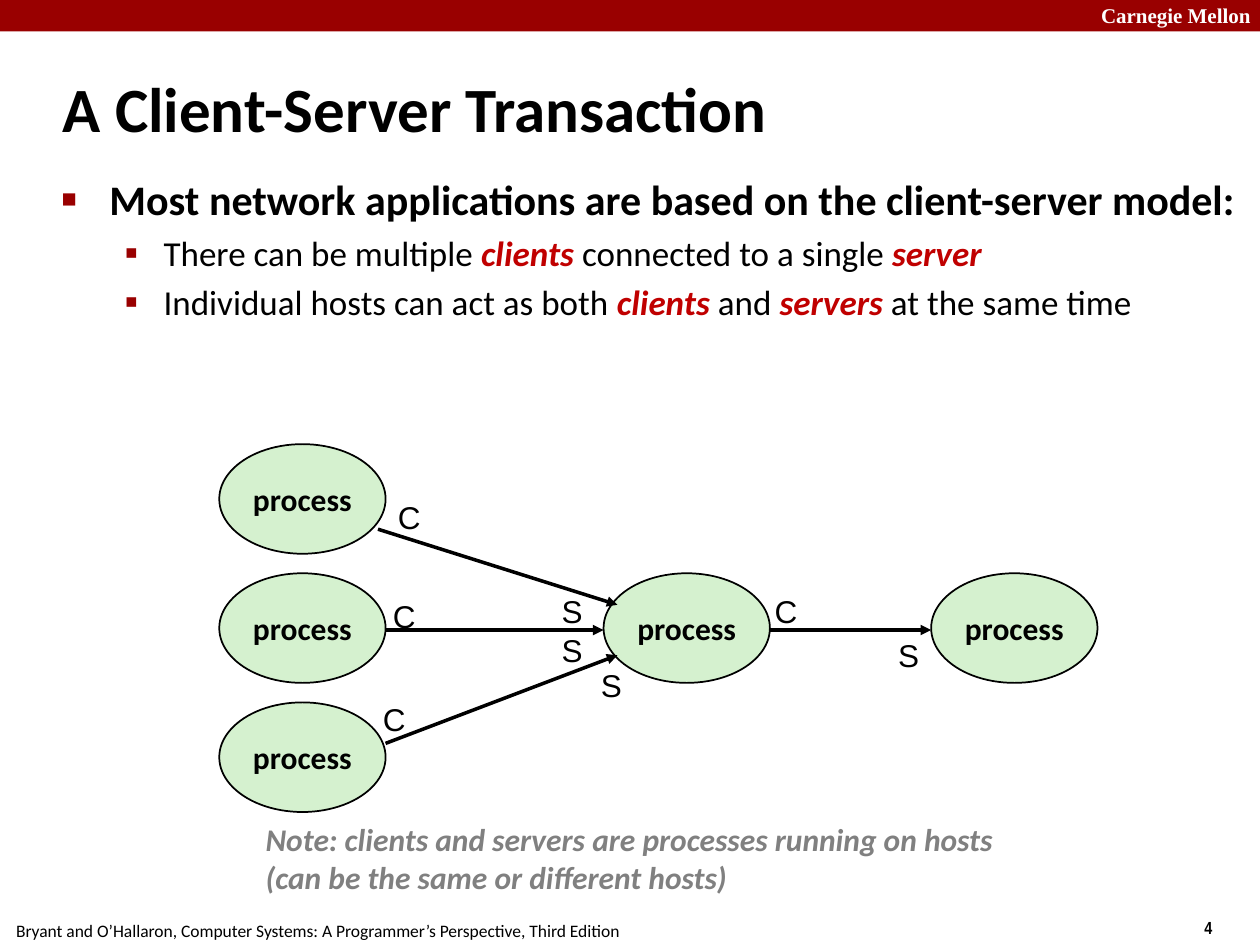
from pptx import Presentation
from pptx.dml.color import RGBColor
from pptx.enum.shapes import MSO_CONNECTOR as Connector, MSO_SHAPE as Shape
from pptx.enum.text import MSO_ANCHOR as Anchor, PP_ALIGN as Align
from pptx.oxml.ns import qn
from pptx.util import Inches, Pt
from lxml.etree import SubElement

THEME = {
    "colors": {"bar": "990000", "accent": "C00000", "ink": "000000", "paper": "FFFFFF",
               "muted": "808080", "node": "D5F1CF"},
    "styles": {
        "brand": {"name": "Times New Roman", "size": 12, "bold": True, "color": "paper"},
        "number": {"name": "Arial Narrow", "size": 10, "bold": True, "color": "ink"},
        "footer": {"name": "Calibri", "size": 10, "color": "ink"},
        "title": {"name": "Calibri", "size": 36, "bold": True, "color": "ink"},
        "heading": {"name": "Calibri", "size": 24, "bold": True, "color": "ink"},
        "detail": {"name": "Calibri", "size": 20, "bold": False, "color": "ink"},
        "term": {"name": "Calibri", "size": 20, "bold": True, "italic": True, "color": "accent"},
        "node": {"name": "Calibri", "size": 18, "bold": True, "color": "ink"},
        "note": {"name": "Calibri", "size": 18, "bold": True, "italic": True, "color": "muted"},
        "role": {"name": "Arial", "size": 18, "color": "ink"},
    },
}

TEXTS = [
    ("brand", (8.64, -0.03, 1.43, 0.3), ["Carnegie Mellon"]),
    ("number", (9.46, 7.23, 0.75, 0.27), ["4"]),
    ("footer", (0.03, 7.25, 5.1, 0.27),
     ["Bryant and O’Hallaron, Computer Systems: A Programmer’s Perspective, Third Edition"]),
    ("title", (0.4, 0.54, 7.83, 0.63), ["A Client-Server Transaction"]),
    ("note", (2.01, 6.46, 6.03, 0.7),
     ["Note: clients and servers are processes running on hosts",
      "(can be the same or different hosts)"]),
]

BODY_BOX = (0.39, 1.33, 9.52, 2.25)
BODY = [
    ("main", [("heading", "Most network applications are based on the client-server model:")]),
    ("sub", [("detail", "There can be multiple "), ("term", "clients "),
             ("detail", "connected to a single "), ("term", "server")]),
    ("sub", [("detail", "Individual hosts can act as both "), ("term", "clients"),
             ("detail", " and "), ("term", "servers "), ("detail", "at the same time")]),
]
BULLETS = {
    "main": {"char": "■", "percent": 60, "margin": 0.38, "hanging": 0.38, "before": 0},
    "sub": {"char": "▪", "percent": 110, "margin": 0.81, "hanging": 0.31, "before": 4},
}

NODE_SIZE = (1.32, 0.87)
COLUMNS = (1.74, 4.79, 7.39)
MIDDLE_TOP, ROW_STEP = 4.55, 1.025
NODES = [(0, -1), (0, 0), (0, 1), (1, 0), (2, 0)]
ARROWS = [((3.06, 5), (4.79, 5)), ((6.11, 5), (7.39, 5)),
          ((3, 4.2), (4.9, 4.8)), ((3.06, 5.9), (4.9, 5.2))]
ROLES = {
    "C": [(3.06, 3.9), (3.02, 4.69), (2.94, 5.51), (6.05, 4.65)],
    "S": [(7.03, 5), (4.67, 5.24), (4.36, 4.96), (4.36, 4.65)],
}


def color(name):
    """Return a theme colour."""
    return RGBColor.from_string(THEME["colors"][name])


def add_run(paragraph, text, style):
    """Append text in a theme style."""
    run = paragraph.add_run()
    run.text = text
    for key, value in THEME["styles"][style].items():
        if key == "color":
            run.font.color.rgb = color(value)
        else:
            setattr(run.font, key, Pt(value) if key == "size" else value)


def add_box(slide, box):
    """Add a wrapping text box and return its frame."""
    frame = slide.shapes.add_textbox(*map(Inches, box)).text_frame
    frame.word_wrap = True
    return frame


def next_paragraph(frame, index):
    """Return the first paragraph or a new one."""
    return frame.add_paragraph() if index else frame.paragraphs[0]


def add_text(slide, style, box, lines):
    """Add lines of text in one style."""
    frame = add_box(slide, box)
    if style == "title":
        frame.vertical_anchor = Anchor.MIDDLE
    for index, line in enumerate(lines):
        add_run(next_paragraph(frame, index), line, style)


def add_bullet(paragraph, bullet):
    """Give a paragraph a coloured bullet and hanging indent."""
    properties = paragraph._p.get_or_add_pPr()
    properties.set("marL", str(Inches(bullet["margin"])))
    properties.set("indent", str(-Inches(bullet["hanging"])))
    fill = SubElement(properties, qn("a:buClr"))
    SubElement(fill, qn("a:srgbClr"), val=THEME["colors"]["bar"])
    SubElement(properties, qn("a:buSzPct"), val=str(bullet["percent"] * 1000))
    SubElement(properties, qn("a:buFont"), typeface="Arial")
    SubElement(properties, qn("a:buChar"), char=bullet["char"])
    paragraph.space_before = Pt(bullet["before"])


def add_body(slide):
    """Add the bulleted list."""
    frame = add_box(slide, BODY_BOX)
    for index, (level, runs) in enumerate(BODY):
        paragraph = next_paragraph(frame, index)
        add_bullet(paragraph, BULLETS[level])
        for style, text in runs:
            add_run(paragraph, text, style)


def add_filled(slide, kind, box, fill):
    """Add a flat filled shape."""
    shape = slide.shapes.add_shape(kind, *map(Inches, box))
    shape.shadow.inherit = False
    shape.fill.solid()
    shape.fill.fore_color.rgb = color(fill)
    return shape


def add_node(slide, column, row):
    """Add a process ellipse at a grid position."""
    box = (COLUMNS[column], MIDDLE_TOP + row * ROW_STEP, *NODE_SIZE)
    shape = add_filled(slide, Shape.OVAL, box, "node")
    shape.line.color.rgb = color("ink")
    shape.line.width = Pt(1)
    frame = shape.text_frame
    frame.word_wrap = False
    frame.vertical_anchor = Anchor.MIDDLE
    frame.paragraphs[0].alignment = Align.CENTER
    add_run(frame.paragraphs[0], "process", "node")


def add_arrow(slide, start, end):
    """Add a hairline arrow."""
    arrow = slide.shapes.add_connector(Connector.STRAIGHT, *map(Inches, start + end))
    arrow.line.color.rgb = color("ink")
    arrow.line.width = Pt(0)
    SubElement(arrow.line._get_or_add_ln(), qn("a:tailEnd"), type="triangle")
    SubElement(arrow._element.spPr, qn("a:effectLst"))


def main():
    """Build and save the slide."""
    presentation = Presentation()
    presentation.slide_width, presentation.slide_height = Inches(10), Inches(7.5)
    slide = presentation.slides.add_slide(presentation.slide_layouts[6])
    add_filled(slide, Shape.RECTANGLE, (0, 0, 10, 0.25), "bar").line.fill.background()
    for style, box, lines in TEXTS:
        add_text(slide, style, box, lines)
    add_body(slide)
    for column, row in NODES:
        add_node(slide, column, row)
    for start, end in ARROWS:
        add_arrow(slide, start, end)
    for role, places in ROLES.items():
        for place in places:
            add_text(slide, "role", (*place, 0.5, 0.38), [role])
    presentation.save("out.pptx")


if __name__ == "__main__":
    main()
